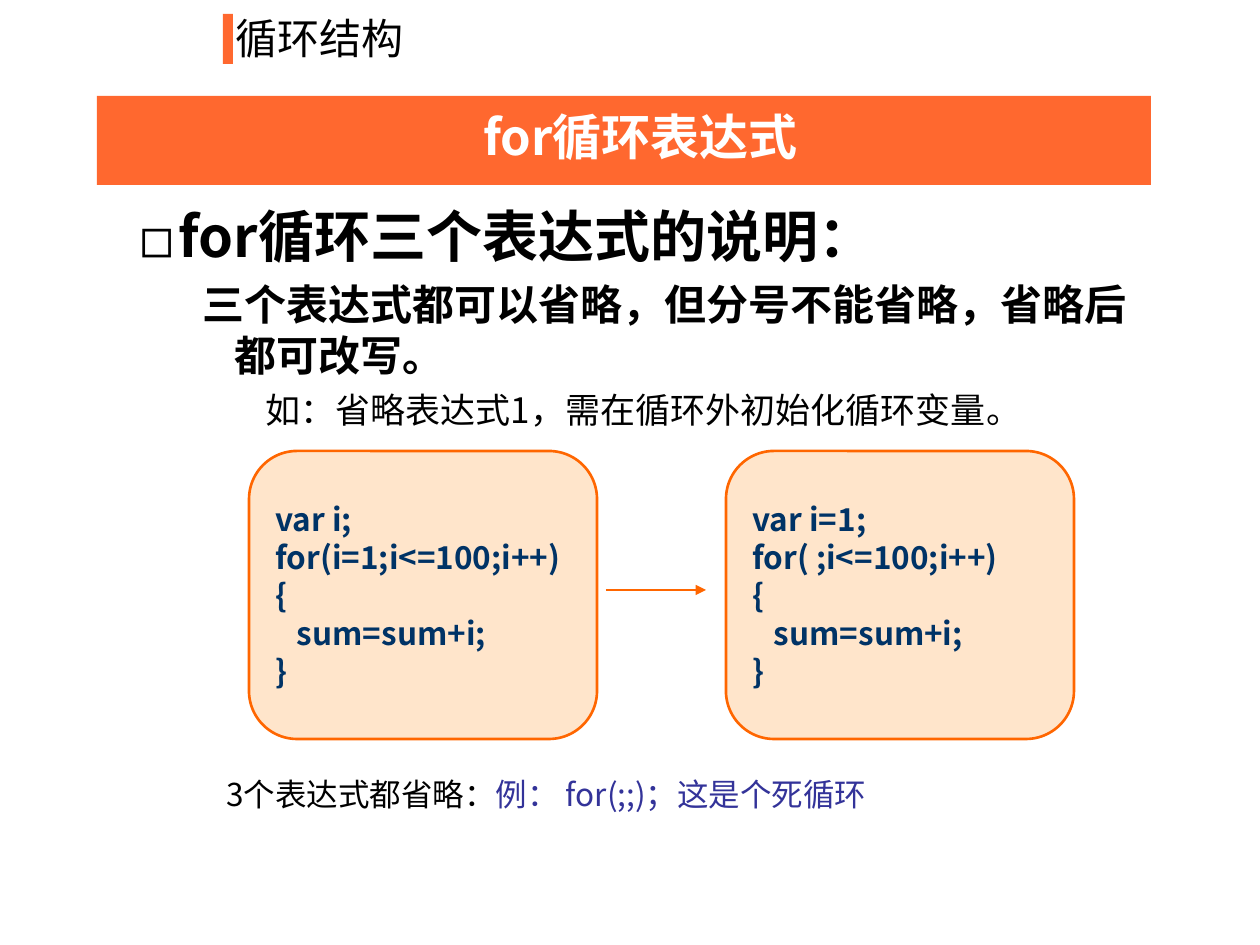
import pptx
import pptx.util
import pptx.dml.color
import pptx.enum.shapes
import pptx.enum.text
import pptx.oxml
import pptx.oxml.ns
import lxml.etree

SCALE = 914400 / 126
FONT = "Noto Sans CJK SC"
COLORS = {
    "banner": "FF682F",
    "outline": "FF6600",
    "panel": "FFCC99",
    "code": "003366",
    "example": "333399",
    "black": "000000",
    "white": "FFFFFF",
}
qn = pptx.oxml.ns.qn


def px(*values):
    return [pptx.util.Emu(round(value * SCALE)) for value in values]


def add_text(paragraph, runs, size, bold=False, left=0, indent=0, before=0, bullet=None):
    properties = paragraph._p.get_or_add_pPr()
    margin, first = px(left, indent)
    properties.set("marL", str(margin))
    properties.set("indent", str(first))
    if bullet:
        color = lxml.etree.SubElement(properties, qn("a:buClr"))
        lxml.etree.SubElement(color, qn("a:srgbClr"), val=COLORS["black"])
        lxml.etree.SubElement(properties, qn("a:buFont"), typeface=FONT)
        lxml.etree.SubElement(properties, qn("a:buChar"), char=bullet)
    else:
        lxml.etree.SubElement(properties, qn("a:buNone"))
    paragraph.line_spacing = pptx.util.Pt(round(size * 1.2, 1))
    paragraph.space_before = pptx.util.Pt(before)
    for text, color, font in runs:
        run = paragraph.add_run()
        run.text = text
        run.font.size = pptx.util.Pt(size)
        run.font.bold = bold
        run.font.name = font
        run.font.color.rgb = pptx.dml.color.RGBColor.from_string(COLORS[color])
        lxml.etree.SubElement(run._r.get_or_add_rPr(), qn("a:ea"), typeface=FONT)


presentation = pptx.Presentation()
presentation.slide_width, presentation.slide_height = px(1260, 945)
slide = presentation.slides.add_slide(presentation.slide_layouts[6])
shapes = slide.shapes
presets = pptx.enum.shapes.MSO_SHAPE

for box in [(223, 14, 10, 50), (97, 96, 1054, 89)]:
    bar = shapes.add_shape(presets.RECTANGLE, *px(*box))
    bar.shadow.inherit = False
    bar.fill.solid()
    bar.fill.fore_color.rgb = pptx.dml.color.RGBColor.from_string(COLORS["banner"])
    bar.line.fill.background()

heading_box = shapes.add_textbox(*px(223, 6, 325, 63))
heading_box.text_frame.word_wrap = True
add_text(heading_box.text_frame.paragraphs[0], [("循环结构", "black", FONT)], 24)

banner_box = shapes.add_textbox(*px(164, 100, 953, 72))
banner_box.text_frame.word_wrap = True
banner_paragraph = banner_box.text_frame.paragraphs[0]
banner_paragraph.alignment = pptx.enum.text.PP_ALIGN.CENTER
add_text(banner_paragraph, [("for循环表达式", "white", FONT)], 28, bold=True)

body_box = shapes.add_textbox(*px(64, 195, 1097, 258))
body_frame = body_box.text_frame
body_frame.word_wrap = True
add_text(body_frame.paragraphs[0], [("for循环三个表达式的说明：", "black", FONT)],
         32, bold=True, left=102, indent=-39, bullet="◻")
add_text(body_frame.add_paragraph(),
         [("三个表达式都可以省略，但分号不能省略，省略后都可改写。", "black", FONT)],
         24, bold=True, left=158, indent=-32, before=6)
add_text(body_frame.add_paragraph(),
         [("如：省略表达式", "black", "Arial"), ("1", "black", FONT),
          ("，需在循环外初始化循环变量。", "black", "Arial")],
         20, left=221, indent=-32, before=5)

code_panels = [
    (249, ["var i;", "for(i=1;i<=100;i++)"]),
    (726, ["var i=1;", "for( ;i<=100;i++)"]),
]
for left, opening_lines in code_panels:
    panel = shapes.add_shape(presets.FLOWCHART_ALTERNATE_PROCESS, *px(left, 451, 348, 288))
    panel.shadow.inherit = False
    panel.fill.solid()
    panel.fill.fore_color.rgb = pptx.dml.color.RGBColor.from_string(COLORS["panel"])
    fill_color = panel._element.spPr.find(qn("a:solidFill"))[0]
    lxml.etree.SubElement(fill_color, qn("a:alpha"), val="50000")
    panel.line.color.rgb = pptx.dml.color.RGBColor.from_string(COLORS["outline"])
    panel.line.width = pptx.util.Pt(1.5)
    frame = panel.text_frame
    frame.word_wrap = False
    frame.vertical_anchor = pptx.enum.text.MSO_ANCHOR.MIDDLE
    for index, line in enumerate(opening_lines + ["{", "   sum=sum+i;", "}"]):
        paragraph = frame.add_paragraph() if index else frame.paragraphs[0]
        paragraph.alignment = pptx.enum.text.PP_ALIGN.LEFT
        add_text(paragraph, [(line, "code", FONT)], 18, bold=True)

arrow = shapes.add_connector(pptx.enum.shapes.MSO_CONNECTOR.STRAIGHT, *px(606, 590, 706, 590))
arrow.line.color.rgb = pptx.dml.color.RGBColor.from_string(COLORS["outline"])
arrow.line.width = pptx.util.Pt(1.5)
lxml.etree.SubElement(arrow.line._get_or_add_ln(), qn("a:tailEnd"), type="triangle")
lxml.etree.SubElement(arrow._element.spPr, qn("a:effectLst"))

note_box = shapes.add_textbox(*px(25, 769, 953, 50))
note_box.text_frame.word_wrap = True
add_text(note_box.text_frame.paragraphs[0],
         [("3个表达式都省略：", "black", FONT),
          ("例： for(;;)；这是个死循环", "example", FONT)], 18, left=189)

presentation.save("out.pptx")
